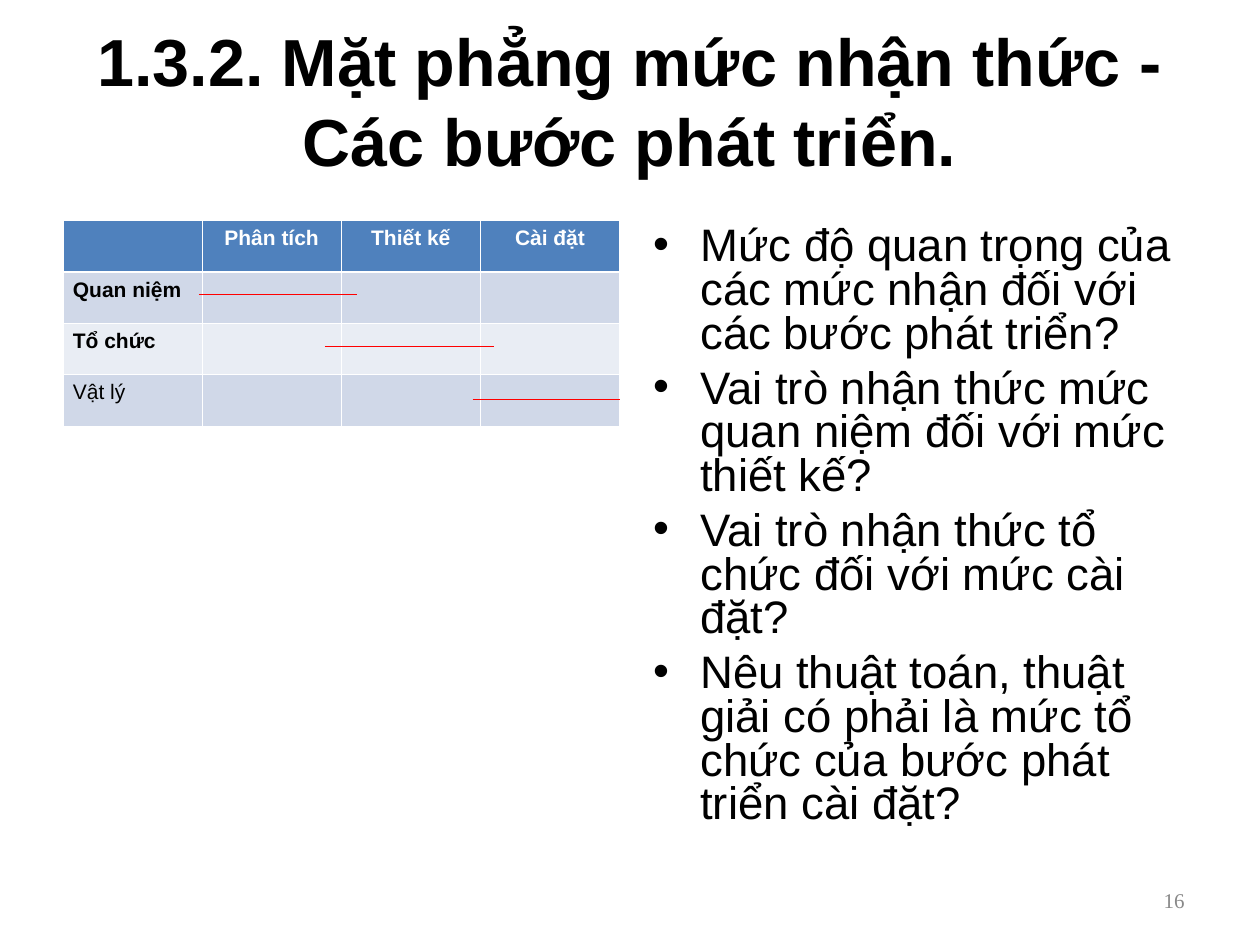
from lxml import etree
from pptx import Presentation
from pptx import util as u
from pptx.dml import color
from pptx.enum import shapes, text
from pptx.oxml import ns

INK = {
    "text": "000000",
    "white": "FFFFFF",
    "head": "4F81BD",
    "dark": "D0D8E8",
    "light": "E9EDF4",
    "line": "FF0000",
    "page": "898989",
}
GRID = [
    ["", "Phân tích", "Thiết kế", "Cài đặt"],
    ["Quan niệm", "", "", ""],
    ["Tổ chức", "", "", ""],
    ["Vật lý", "", "", ""],
]
BANDS = ["head", "dark", "light", "dark"]
SPANS = [(4.01, 7.19, 5.93), (6.55, 9.96, 6.99), (9.53, 12.5, 8.05)]
ASKS = [
    "Mức độ quan trọng của các mức nhận đối với các bước phát triển?",
    "Vai trò nhận thức mức quan niệm đối với mức thiết kế?",
    "Vai trò nhận thức tổ chức đối với mức cài đặt?",
    "Nêu thuật toán, thuật giải có phải là mức tổ chức của bước phát triển cài đặt?",
]
ALIGN = text.PP_ALIGN


def rgb(name):
    return color.RGBColor.from_string(INK[name])


def place(shape, left, top, width, height):
    shape.left, shape.top = u.Cm(left), u.Cm(top)
    shape.width, shape.height = u.Cm(width), u.Cm(height)


def write(para, words, size=12, ink="text", bold=False, face="Arial",
          align=None, before=0, after=0, pitch=None):
    para.alignment = align
    para.space_before, para.space_after = u.Pt(before), u.Pt(after)
    para.line_spacing = pitch
    run = para.add_run()
    run.text = words
    font = run.font
    font.name, font.size, font.bold = face, u.Pt(size), bold
    font.color.rgb = rgb(ink)


def add_title(slide):
    title = slide.shapes.title
    place(title, 1.27, 0.43, 22.86, 3.18)
    frame = title.text_frame
    frame.auto_size = text.MSO_AUTO_SIZE.NONE
    frame.vertical_anchor = text.MSO_ANCHOR.MIDDLE
    write(frame.paragraphs[0],
          "1.3.2. Mặt phẳng mức nhận thức - Các bước phát triển.",
          size=38, bold=True, align=ALIGN.CENTER)


def add_list(slide):
    body = slide.placeholders[1]
    place(body, 12.91, 4.45, 11.22, 12.57)
    frame = body.text_frame
    frame.auto_size = text.MSO_AUTO_SIZE.NONE
    for i, ask in enumerate(ASKS):
        para = frame.add_paragraph() if i else frame.paragraphs[0]
        write(para, ask, size=26, before=6.5 if i else 0, pitch=0.8)


def edge(cell, sides):
    props = cell._tc.get_or_add_tcPr()
    for spot, (side, width) in enumerate(sides.items()):
        line = etree.Element(ns.qn("a:ln" + side), w=str(u.Pt(width)))
        fill = etree.SubElement(line, ns.qn("a:solidFill"))
        etree.SubElement(fill, ns.qn("a:srgbClr"), val=INK["white"])
        props.insert(spot, line)


def add_grid(slide):
    rows, cols = len(GRID), len(GRID[0])
    table = slide.shapes.add_table(
        rows, cols, u.Cm(1.27), u.Cm(4.45), u.Cm(11.22), u.Cm(4.14)).table
    for r, words in enumerate(GRID):
        for c, word in enumerate(words):
            cell = table.cell(r, c)
            cell.margin_left = cell.margin_right = u.Cm(0.2)
            cell.margin_top = cell.margin_bottom = u.Cm(0.12)
            cell.fill.solid()
            cell.fill.fore_color.rgb = rgb(BANDS[r])
            edge(cell, {"L": 0.45, "R": 0.45,
                        "T": 1.47 if r == 1 else 0.45,
                        "B": 1.47 if r == 0 else 0.45})
            if word:
                write(cell.text_frame.paragraphs[0], word,
                      ink="text" if r else "white", bold=r < rows - 1,
                      align=ALIGN.JUSTIFY if r else ALIGN.CENTER, after=3)


def add_line(slide, start, end, top):
    line = slide.shapes.add_connector(
        shapes.MSO_CONNECTOR.STRAIGHT,
        u.Cm(start), u.Cm(top), u.Cm(end), u.Cm(top))
    line.line.color.rgb = rgb("line")
    line.line.width = u.Pt(0.75)
    etree.SubElement(line._element.spPr, ns.qn("a:effectLst"))


def add_page(slide):
    box = slide.shapes.add_textbox(0, 0, 0, 0)
    place(box, 18.2, 17.65, 5.93, 1.01)
    frame = box.text_frame
    frame.word_wrap = True
    frame.vertical_anchor = text.MSO_ANCHOR.MIDDLE
    write(frame.paragraphs[0], "16", ink="page", face="Times New Roman",
          align=ALIGN.RIGHT)


def main():
    deck = Presentation()
    deck.slide_width, deck.slide_height = u.Cm(25.4), u.Cm(19.05)
    slide = deck.slides.add_slide(deck.slide_layouts[1])
    add_title(slide)
    add_grid(slide)
    for span in SPANS:
        add_line(slide, *span)
    add_list(slide)
    add_page(slide)
    deck.save("out.pptx")


if __name__ == "__main__":
    main()
